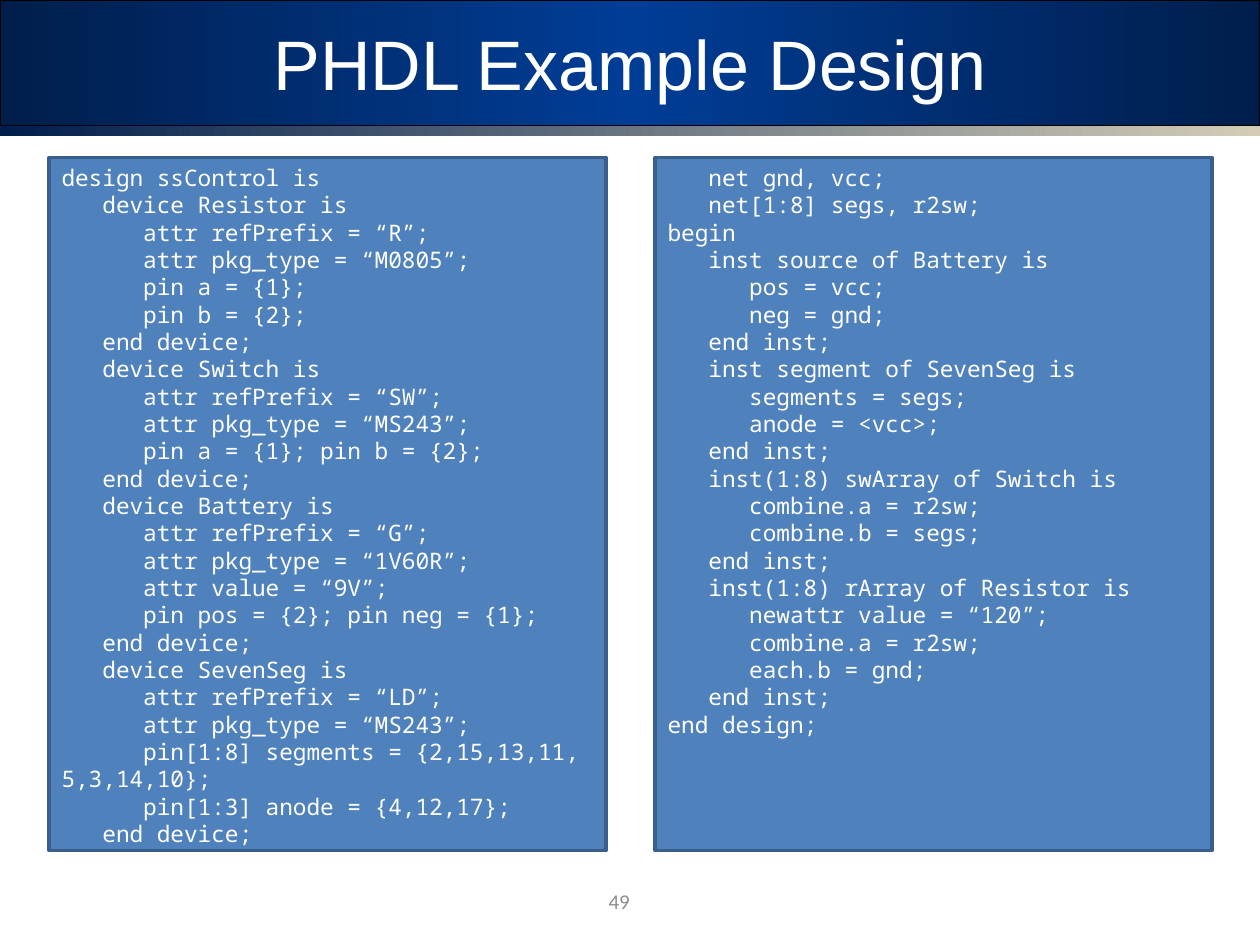
"""Build the PHDL example slide with two panels of code."""
from dataclasses import dataclass

import pptx
import pptx.dml.color
import pptx.enum.shapes
import pptx.enum.text
import pptx.oxml
import pptx.oxml.ns
import pptx.util
from pptx.util import Inches


@dataclass(frozen=True)
class Theme:
    navy: str = "001E4C"
    blue: str = "003D96"
    sand: str = "D3CDB7"
    black: str = "000000"
    white: str = "FFFFFF"
    panel: str = "4F81BD"
    edge: str = "3A5F8C"
    gray: str = "8C8C8C"
    head: str = "Arial"
    body: str = "Calibri"
    mono: str = "Noto Sans Mono"
    big: float = 40
    code: float = 13
    small: float = 12


THEME = Theme()
SHAPE = pptx.enum.shapes.MSO_SHAPE
ALIGN = pptx.enum.text.PP_ALIGN
ANCHOR = pptx.enum.text.MSO_ANCHOR

LEFT = """\
design ssControl is
   device Resistor is
      attr refPrefix = “R”;
      attr pkg_type = “M0805”;
      pin a = {1};
      pin b = {2};
   end device;
   device Switch is
      attr refPrefix = “SW”;
      attr pkg_type = “MS243”;
      pin a = {1}; pin b = {2};
   end device;
   device Battery is
      attr refPrefix = “G”;
      attr pkg_type = “1V60R”;
      attr value = “9V”;
      pin pos = {2}; pin neg = {1};
   end device;
   device SevenSeg is
      attr refPrefix = “LD”;
      attr pkg_type = “MS243”;
      pin[1:8] segments = {2,15,13,11, 5,3,14,10};
      pin[1:3] anode = {4,12,17};
   end device;"""

RIGHT = """\
   net gnd, vcc;
   net[1:8] segs, r2sw;
begin
   inst source of Battery is
      pos = vcc;
      neg = gnd;
   end inst;
   inst segment of SevenSeg is
      segments = segs;
      anode = <vcc>;
   end inst;
   inst(1:8) swArray of Switch is
      combine.a = r2sw;
      combine.b = segs;
   end inst;
   inst(1:8) rArray of Resistor is
      newattr value = “120”;
      combine.a = r2sw;
      each.b = gnd;
   end inst;
end design;"""


def color(code):
    return pptx.dml.color.RGBColor.from_string(code)


def add_shape(slide, kind, box, line=None, width=0.75):
    shape = slide.shapes.add_shape(kind, *map(Inches, box))
    shape.shadow.inherit = False
    if line:
        shape.line.color.rgb = color(line)
        shape.line.width = pptx.util.Pt(width)
    else:
        shape.line.fill.background()
    return shape


def blend(shape, *tones):
    shape.fill.gradient()
    shape.fill.gradient_angle = 0
    stops = shape._element.spPr.find(".//" + pptx.oxml.ns.qn("a:gsLst"))
    for stop in list(stops):
        stops.remove(stop)
    for i, tone in enumerate(tones):
        place = i * 100000 // (len(tones) - 1)
        stops.append(pptx.oxml.parse_xml(
            f'<a:gs {pptx.oxml.ns.nsdecls("a")} pos="{place}">'
            f'<a:srgbClr val="{tone}"/></a:gs>'))


def write(shape, text, face, size, tone, align, anchor):
    frame = shape.text_frame
    frame.word_wrap = True
    frame.vertical_anchor = anchor
    frame.text = text
    for line in frame.paragraphs:
        line.alignment = align
        line.font.name = face
        line.font.size = pptx.util.Pt(size)
        line.font.color.rgb = color(tone)


def add_label(slide, box, text, face, size, tone):
    label = slide.shapes.add_textbox(*map(Inches, box))
    write(label, text, face, size, tone, ALIGN.CENTER, ANCHOR.MIDDLE)


def add_band(slide):
    band = add_shape(slide, SHAPE.RECTANGLE, (0, 0, 10, 1), THEME.black)
    blend(band, THEME.navy, THEME.blue, THEME.navy)
    strip = add_shape(slide, SHAPE.ROUNDED_RECTANGLE, (0, 1, 10, 0.08))
    strip.adjustments[0] = 0.02
    blend(strip, THEME.navy, THEME.sand)


def add_code(slide, left, text):
    panel = add_shape(slide, SHAPE.RECTANGLE, (left, 1.25, 4.42, 5.5),
                      THEME.edge, 2)
    panel.fill.solid()
    panel.fill.fore_color.rgb = color(THEME.panel)
    write(panel, text, THEME.mono, THEME.code, THEME.white,
          ALIGN.LEFT, ANCHOR.TOP)


def main():
    deck = pptx.Presentation()
    deck.slide_width, deck.slide_height = Inches(10), Inches(7.5)
    slide = deck.slides.add_slide(deck.slide_layouts[6])
    add_band(slide)
    add_label(slide, (0.5, 0, 9, 1), "PHDL Example Design",
              THEME.head, THEME.big, THEME.white)
    add_label(slide, (3.75, 6.95, 2.33, 0.4), "49",
              THEME.body, THEME.small, THEME.gray)
    for left, text in ((0.39, LEFT), (5.2, RIGHT)):
        add_code(slide, left, text)
    deck.save("out.pptx")


if __name__ == "__main__":
    main()
